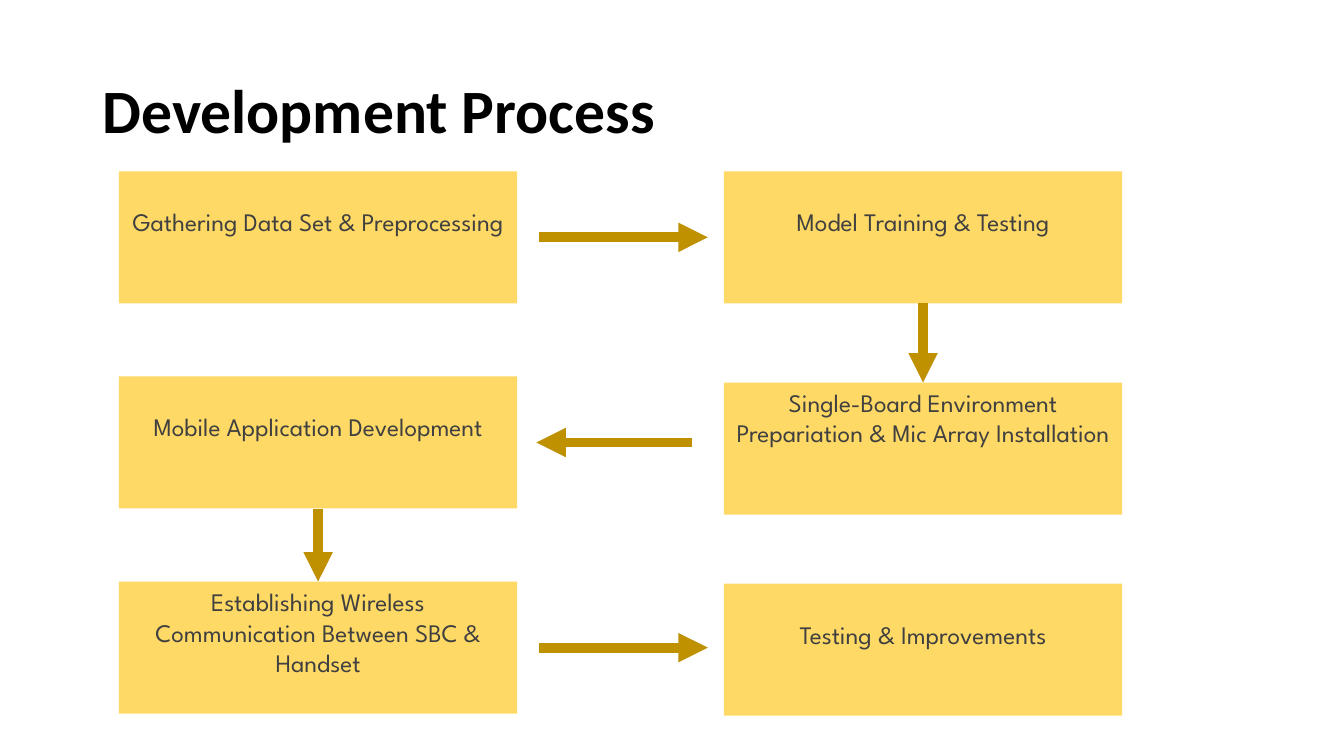
from lxml import etree
from pptx import Presentation
from pptx import util as u
from pptx.dml.color import RGBColor
from pptx.enum import shapes, text
from pptx.oxml import ns

COLORS = {"box": "FFD966", "arrow": "BF9000", "title": "000000", "body": "404040"}
FONTS = {"title": "Calibri", "body": "League Spartan"}


def rgb(name):
    return RGBColor.from_string(COLORS[name])


def write(tf, words, style="body", size=18, bold=False, align=None,
          anchor=text.MSO_ANCHOR.TOP, top=0.05, spacing=None):
    tf.word_wrap = True
    tf.vertical_anchor = anchor
    tf.margin_left = tf.margin_right = u.Inches(0.1)
    tf.margin_top, tf.margin_bottom = u.Inches(top), u.Inches(0.05)
    p = tf.paragraphs[0]
    p.alignment, p.line_spacing = align, spacing
    r = p.add_run()
    r.text = words
    r.font.name, r.font.size, r.font.bold = FONTS[style], u.Pt(size), bold
    r.font.color.rgb = rgb(style)


class Flowchart:
    """Two columns of boxes joined by arrows; cells are (column, row)."""
    LEFT, TOP = 1.18, 1.7
    COL, ROW = 6.0, 2.035
    BOX_W, BOX_H = 3.95, 1.31
    NUDGE = {(1, 1): 0.06, (1, 2): 0.02}

    def __init__(self, prs):
        self.s = prs.slides.add_slide(prs.slide_layouts[6])

    def corner(self, cell):
        col, row = cell
        return (self.LEFT + col * self.COL,
                self.TOP + row * self.ROW + self.NUDGE.get(cell, 0))

    def title(self, words):
        sp = self.s.shapes.add_textbox(*map(u.Inches, (0.92, 0.4, 11.5, 1.45)))
        write(sp.text_frame, words, style="title", size=44, bold=True,
              anchor=text.MSO_ANCHOR.MIDDLE, spacing=0.9)

    def box(self, cell, words, top):
        sp = self.s.shapes.add_shape(
            shapes.MSO_SHAPE.RECTANGLE,
            *map(u.Inches, (*self.corner(cell), self.BOX_W, self.BOX_H)))
        sp.shadow.inherit = False
        sp.fill.solid()
        sp.fill.fore_color.rgb = rgb("box")
        sp.line.fill.background()
        write(sp.text_frame, words, align=text.PP_ALIGN.CENTER, top=top)

    def arrow(self, x1, y1, x2, y2):
        c = self.s.shapes.add_connector(
            shapes.MSO_CONNECTOR.STRAIGHT, *map(u.Inches, (x1, y1, x2, y2)))
        c.line.color.rgb = rgb("arrow")
        c.line.width = u.Pt(7)
        etree.SubElement(c.line._get_or_add_ln(), ns.qn("a:tailEnd"), type="triangle")
        etree.SubElement(c._element.spPr, ns.qn("a:effectLst"))

    def across(self, row, start, end):
        """Arrow in the middle of a row; start and end count from the left box's right edge."""
        x, y = self.corner((0, row))
        x, y = x + self.BOX_W, y + self.BOX_H / 2
        self.arrow(x + start, y, x + end, y)

    def down(self, col, row):
        """Arrow from a box to the one below it."""
        x, y = self.corner((col, row))
        x += self.BOX_W / 2
        self.arrow(x, y + self.BOX_H, x, self.corner((col, row + 1))[1])


def main():
    prs = Presentation()
    prs.slide_width, prs.slide_height = u.Inches(13.33), u.Inches(7.5)
    chart = Flowchart(prs)
    chart.title("Development Process")

    one_line, three_lines = 0.35, 0.05
    for cell, words, top in [
        ((0, 0), "Gathering Data Set & Preprocessing", one_line),
        ((1, 0), "Model Training & Testing", one_line),
        ((1, 1), "Single-Board Environment Prepariation & Mic Array Installation", three_lines),
        ((0, 1), "Mobile Application Development", one_line),
        ((0, 2), "Establishing Wireless Communication Between SBC & Handset", three_lines),
        ((1, 2), "Testing & Improvements", one_line),
    ]:
        chart.box(cell, words, top)

    for row, start, end in [(0, 0.22, 1.89), (2, 0.22, 1.89), (1, 1.73, 0.19)]:
        chart.across(row, start, end)
    chart.down(1, 0)
    chart.down(0, 1)
    prs.save("out.pptx")


if __name__ == "__main__":
    main()
